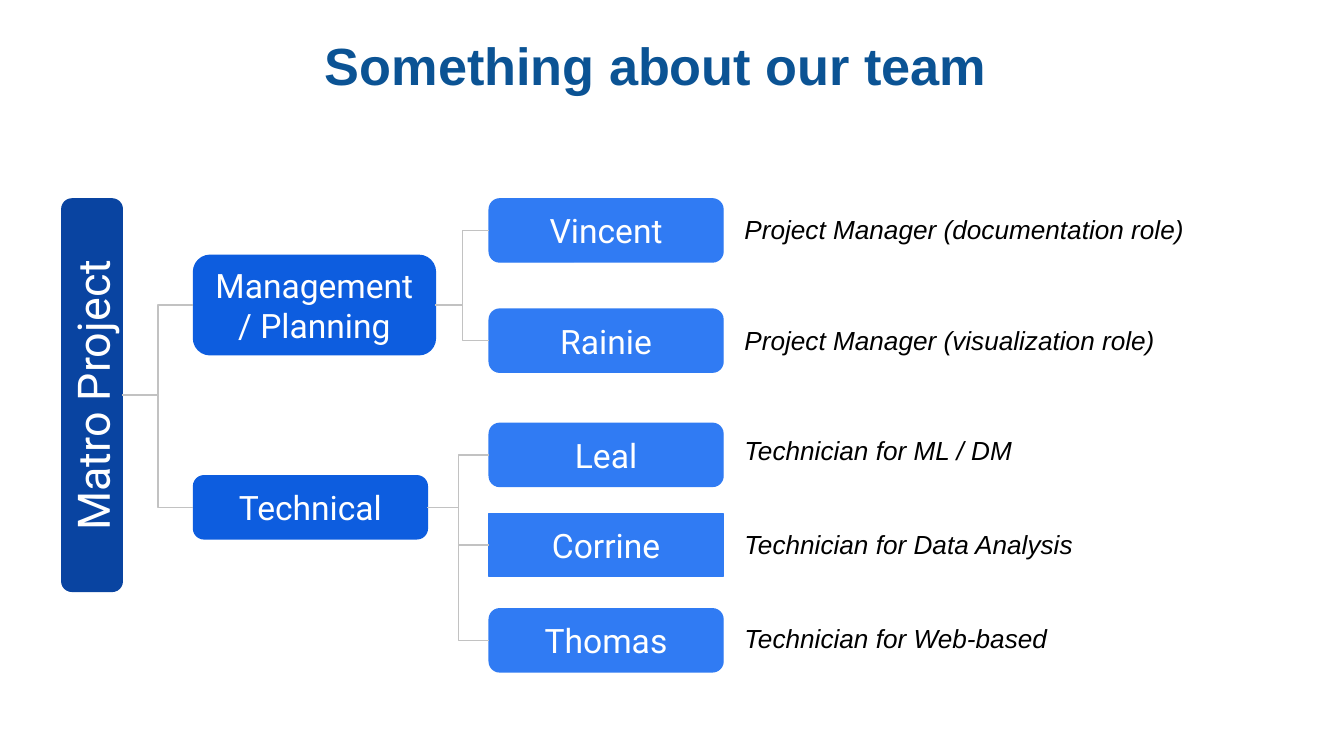
import pptx
import pptx.dml.color
import pptx.enum.shapes
import pptx.enum.text
import pptx.oxml.ns
import pptx.util
from lxml import etree

Inches = pptx.util.Inches
Pt = pptx.util.Pt
SHAPES = pptx.enum.shapes.MSO_SHAPE
ALIGN = pptx.enum.text.PP_ALIGN
ANCHOR = pptx.enum.text.MSO_ANCHOR

COLORS = {
    "title": "0B5394",
    "project": "0944A1",
    "group": "0D5DDF",
    "member": "307BF3",
    "branch": "C2C2C2",
    "label": "FFFFFF",
    "role": "000000",
}
BOX_HEIGHT = 0.47
BOX_WIDTH = 1.74
ROUNDED = 0.167

GROUPS = [
    {
        "name": "Management / Planning",
        "box": (0.98, 0.42, 1.8, 0.74),
        "members": [
            ("Vincent", 0, 0.01, ROUNDED, "Project Manager (documentation role)"),
            ("Rainie", 0.82, 0.83, ROUNDED, "Project Manager (visualization role)"),
        ],
    },
    {
        "name": "Technical",
        "box": (0.98, 2.06, BOX_WIDTH, BOX_HEIGHT),
        "members": [
            ("Leal", 1.67, 1.65, ROUNDED, "Technician for ML / DM"),
            ("Corrine", 2.34, 2.35, 0, "Technician for Data Analysis"),
            ("Thomas", 3.05, 3.05, ROUNDED, "Technician for Web-based"),
        ],
    },
]


def rgb(name):
    return pptx.dml.color.RGBColor.from_string(COLORS[name])


def write(shape, text, size, color, font="Arial", bold=False, italic=False,
          align=ALIGN.LEFT, anchor=ANCHOR.TOP):
    frame = shape.text_frame
    frame.word_wrap = True
    frame.vertical_anchor = anchor
    frame.margin_left = frame.margin_right = Inches(0.1)
    frame.margin_top = frame.margin_bottom = Inches(0.1)
    paragraph = frame.paragraphs[0]
    paragraph.alignment = align
    run = paragraph.add_run()
    run.text = text
    run.font.name = font
    run.font.size = Pt(size)
    run.font.bold = bold
    run.font.italic = italic
    run.font.color.rgb = rgb(color)


def add_caption(slide, box, text, **style):
    caption = slide.shapes.add_textbox(*map(Inches, box))
    write(caption, text, **style)


def add_node(slide, box, text, color, size=18, rounding=ROUNDED, rotation=0):
    node = slide.shapes.add_shape(SHAPES.ROUNDED_RECTANGLE, *map(Inches, box))
    node.adjustments[0] = rounding
    node.rotation = rotation
    node.shadow.inherit = False
    node.fill.solid()
    node.fill.fore_color.rgb = rgb(color)
    node.line.color.rgb = rgb(color)
    node.line.width = Pt(0.75)
    write(node, text, size=size, color="label", font="Roboto",
          align=ALIGN.CENTER, anchor=ANCHOR.MIDDLE)
    return node


def add_branch(slide, parent, child):
    reach = parent.height if parent.rotation else parent.width
    branch = slide.shapes.add_connector(
        pptx.enum.shapes.MSO_CONNECTOR.ELBOW,
        parent.left + (parent.width + reach) // 2,
        parent.top + parent.height // 2,
        child.left,
        child.top + child.height // 2,
    )
    if not parent.rotation:
        branch.begin_connect(parent, 3)
    branch.end_connect(child, 1)
    branch.line.color.rgb = rgb("branch")
    branch.line.width = Pt(0.75)
    properties = branch._element.spPr
    etree.SubElement(properties, pptx.oxml.ns.qn("a:effectLst"))


def add_header(slide, box):
    add_caption(slide, box, "Something about our team",
                size=28, color="title", bold=True)


def add_team_tree(slide, box):
    left, top, _, height = box
    project_width = 0.45
    project_box = (left + (project_width - height) / 2,
                   top + (height - project_width) / 2, height, project_width)
    project = add_node(slide, project_box, "Matro Project", "project",
                       size=24, rotation=270)
    for group in GROUPS:
        x, y, width, depth = group["box"]
        team = add_node(slide, (left + x, top + y, width, depth),
                        group["name"], "group")
        add_branch(slide, project, team)
        for name, offset, role_offset, rounding, role in group["members"]:
            member_box = (left + 3.18, top + offset, BOX_WIDTH, BOX_HEIGHT)
            member = add_node(slide, member_box, name, "member", rounding=rounding)
            add_branch(slide, team, member)
            add_caption(slide, (left + 4.98, top + role_offset, 4.22, 0.55), role,
                        size=14, color="role", italic=True)


def main():
    deck = pptx.Presentation()
    deck.slide_width = Inches(10)
    deck.slide_height = deck.slide_width * 9 // 16
    slide = deck.slides.add_slide(deck.slide_layouts[6])
    add_header(slide, (2.32, 0.15, 5.37, 0.63))
    add_team_tree(slide, (0.46, 1.48, 9.2, 2.92))
    deck.save("out.pptx")


if __name__ == "__main__":
    main()
